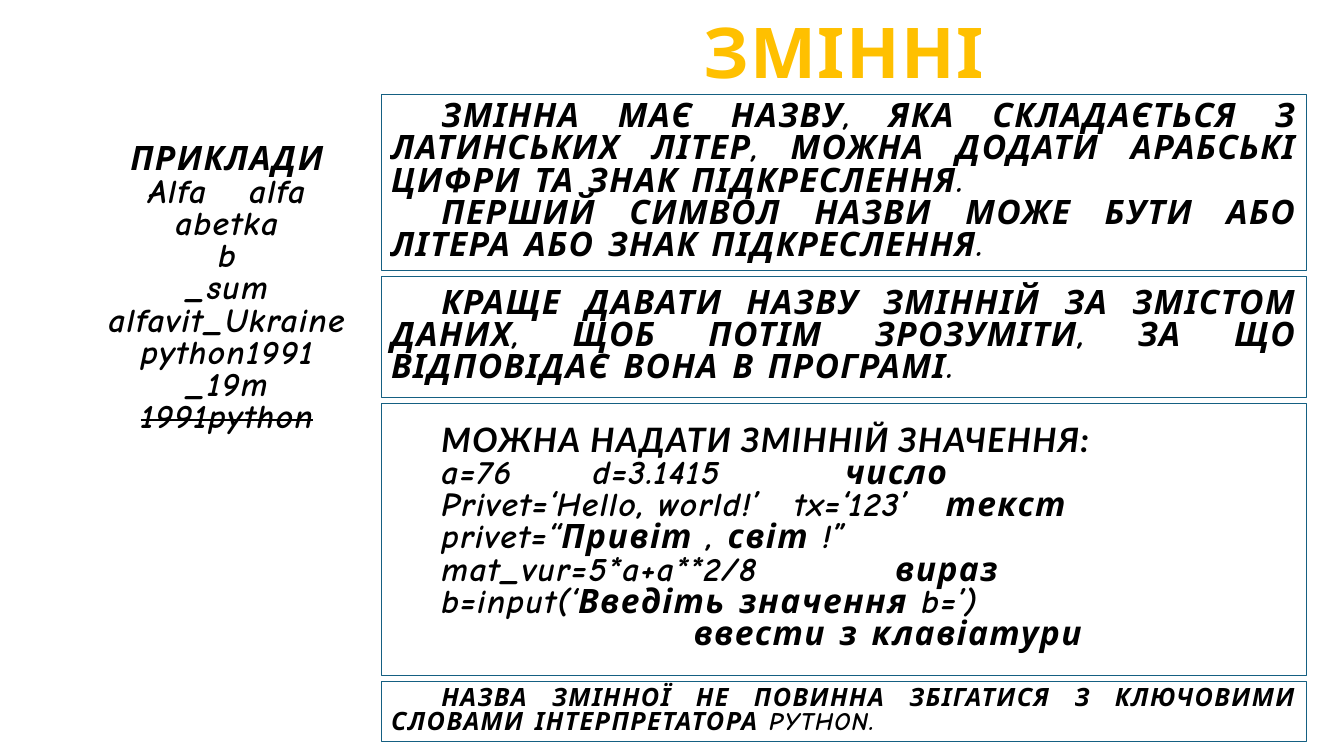
from pptx import Presentation
from pptx.dml.color import RGBColor
from pptx.enum.shapes import MSO_SHAPE as Shape
from pptx.enum.text import MSO_ANCHOR as Anchor, PP_ALIGN as Align
from pptx.util import Inches, Pt

# Content
TITLE = ["ЗМІННІ"]
EXAMPLES = ["ПРИКЛАДИ", "Alfa\talfa", "abetka", "b", "_sum", "alfavit_Ukraine",
            "python1991", "_19m", "1991python"]
NAMING = [
    "ЗМІННА МАЄ НАЗВУ, ЯКА СКЛАДАЄТЬСЯ З ЛАТИНСЬКИХ ЛІТЕР, МОЖНА ДОДАТИ "
    "АРАБСЬКІ ЦИФРИ ТА ЗНАК ПІДКРЕСЛЕННЯ.",
    "ПЕРШИЙ СИМВОЛ НАЗВИ МОЖЕ БУТИ АБО ЛІТЕРА АБО ЗНАК ПІДКРЕСЛЕННЯ.",
]
MEANING = ["КРАЩЕ ДАВАТИ НАЗВУ ЗМІННІЙ ЗА ЗМІСТОМ ДАНИХ, ЩОБ ПОТІМ ЗРОЗУМІТИ, "
           "ЗА ЩО ВІДПОВІДАЄ ВОНА В ПРОГРАМІ."]
VALUES = [
    "МОЖНА НАДАТИ ЗМІННІЙ ЗНАЧЕННЯ:",
    "a=76\t\td=3.1415\t\t\tчисло",
    "Privet=‘Hello, world!’\ttx=‘123’\tтекст",
    "privet=“Привіт , світ !”",
    "mat_vur=5*a+a**2/8\t\t\tвираз",
    "b=input(‘Введіть значення b=’)",
    "\t\t\t\t\tввести з клавіатури",
]
KEYWORDS = ["НАЗВА ЗМІННОЇ НЕ ПОВИННА ЗБІГАТИСЯ З КЛЮЧОВИМИ СЛОВАМИ "
            "ІНТЕРПРЕТАТОРА PYTHON."]
RULES = [(NAMING, 1.74, 24), (MEANING, 1.2, 24), (VALUES, 2.7, 24),
         (KEYWORDS, 0.6, 18)]  # lines, box height, text size

# Style and grid, in inches
COLORS = {"title": "FFC000", "text": "000000", "border": "156082"}
FONT, HEADING_FONT = "Comic Neue", "Lato"
COLUMN_LEFT, COLUMN_WIDTH = 3.78, 9.18
RULES_TOP, GAP, INDENT = 0.94, 0.06, 0.5


def color(name):
    return RGBColor.from_string(COLORS[name])


def write(shape, lines, size, align, indent=INDENT, italic=True,
          text_color="text", anchor=Anchor.MIDDLE):
    frame = shape.text_frame
    frame.word_wrap = True
    frame.vertical_anchor = anchor
    frame.text = "\n".join(lines)
    for paragraph in frame.paragraphs:
        paragraph.alignment = align
        paragraph.line_spacing = 0.8
        properties = paragraph._p.get_or_add_pPr()
        properties.set("marL", "0")
        properties.set("indent", str(Inches(indent)))
        for run in paragraph.runs:
            font = run.font
            font.name, font.size = FONT, Pt(size)
            font.bold, font.italic = True, italic
            font.color.rgb = color(text_color)
            run._r.get_or_add_rPr().set("spc", "100")
    return frame.paragraphs


presentation = Presentation()
presentation.slide_width, presentation.slide_height = Inches(13.33), Inches(7.5)
slide = presentation.slides.add_slide(presentation.slide_layouts[6])

# Title
title = slide.shapes.add_textbox(*map(Inches, (COLUMN_LEFT, 0.2, COLUMN_WIDTH, 0.82)))
write(title, TITLE, 50, Align.CENTER, indent=0, italic=False,
      text_color="title", anchor=Anchor.TOP)

# Examples, the last being an invalid name
examples = slide.shapes.add_textbox(*map(Inches, (0.38, 1.21, 3.24, 3.34)))
names = write(examples, EXAMPLES, 24, Align.CENTER)
names[-1].runs[0]._r.get_or_add_rPr().set("strike", "sngStrike")

# Stack of framed rules
top = RULES_TOP
for lines, height, size in RULES:
    box = slide.shapes.add_shape(
        Shape.RECTANGLE, *map(Inches, (COLUMN_LEFT, top, COLUMN_WIDTH, height)))
    box.shadow.inherit = False
    box.fill.background()
    box.line.color.rgb = color("border")
    box.line.width = Pt(0.75)
    paragraphs = write(box, lines, size, Align.JUSTIFY)
    if lines is VALUES:
        paragraphs[0].runs[0].font.name = HEADING_FONT
    top += height + GAP

presentation.save("out.pptx")
